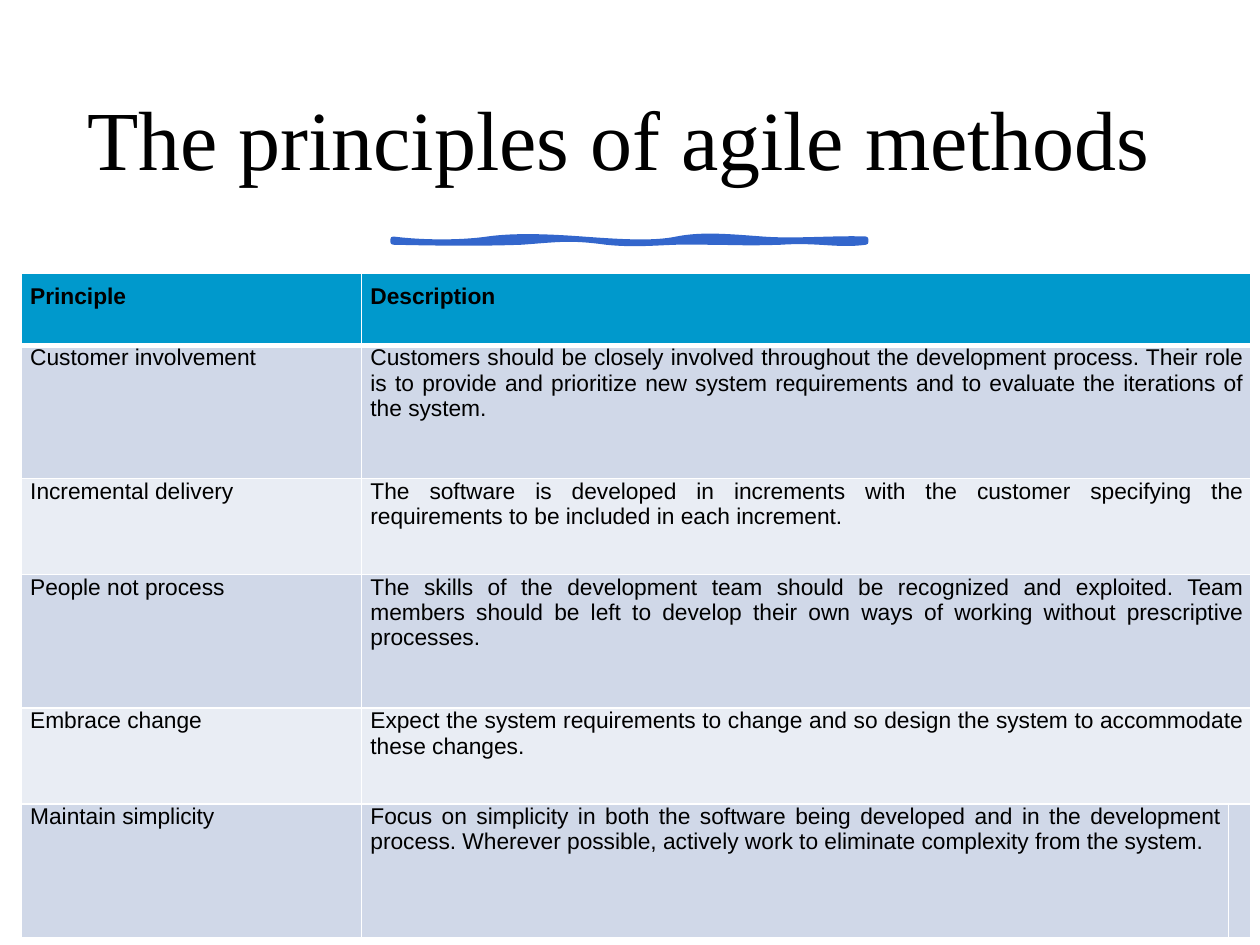
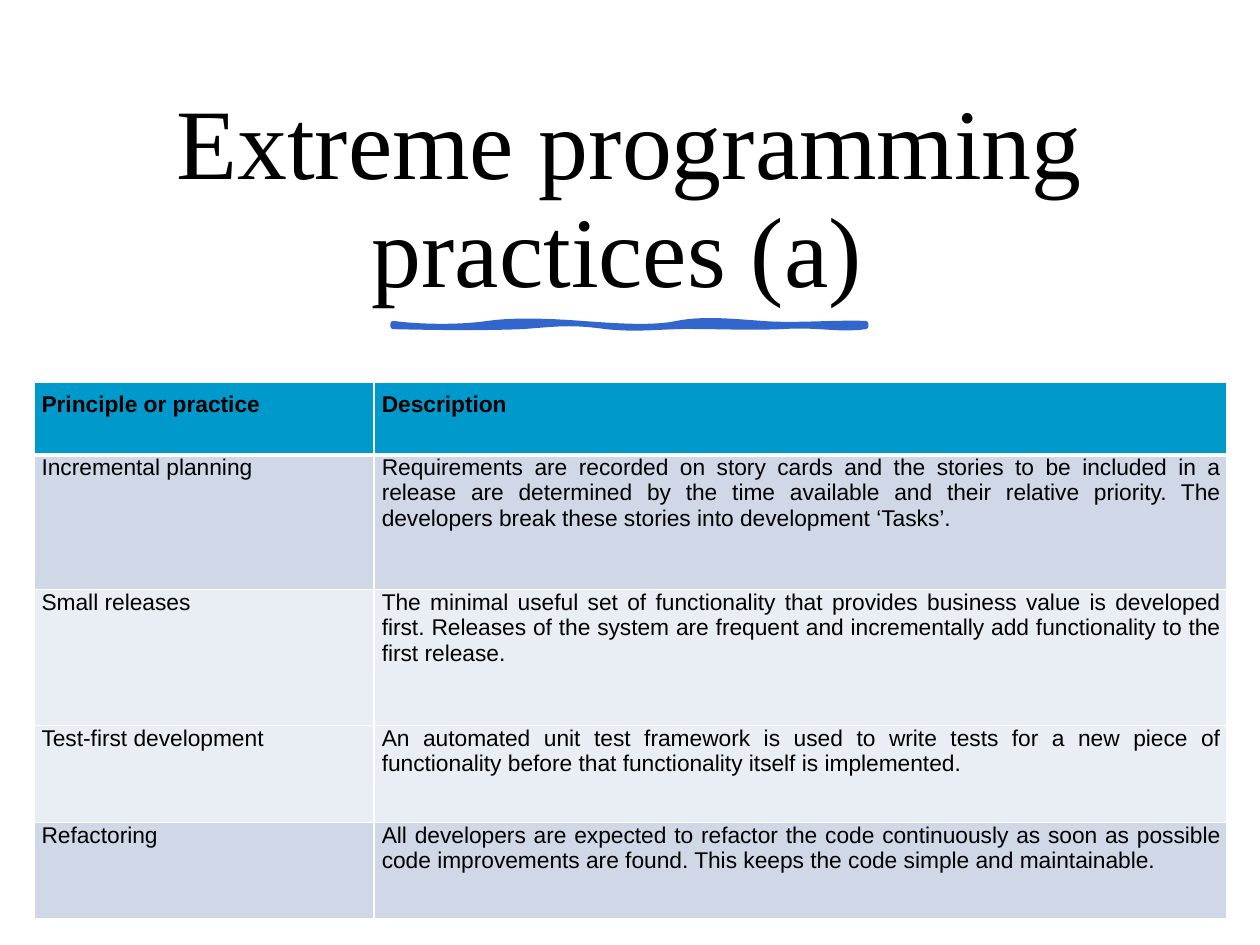
from lxml.etree import SubElement
from pptx import Presentation
from pptx.dml.color import RGBColor
from pptx.enum.shapes import MSO_SHAPE
from pptx.enum.text import MSO_ANCHOR, PP_ALIGN
from pptx.oxml.ns import qn
from pptx.util import Inches, Pt

COLORS = {
    "paper": "FFFFFF",
    "ink": "000000",
    "wave": "3366CC",
    "header": "0099CC",
    "dark": "D0D8E8",
    "light": "E9EDF4",
    "rule": "FFFFFF",
}

WAVE_START = (3.12, 0)
WAVE_CURVES = [
    ((3.36, 0.03), (3.66, 0.03), (3.87, 0)),
    ((4.08, -0.03), (4.35, -0.02), (4.62, 0)),
    ((4.9, 0.02), (5.18, 0.04), (5.37, 0)),
    ((5.57, -0.04), (5.78, -0.02), (6.05, 0)),
    ((6.31, 0.02), (6.63, -0.01), (6.87, 0)),
    ((6.87, 0), (6.87, 0.01), (6.87, 0.02)),
    ((6.65, 0.05), (6.5, 0), (6.2, 0.02)),
    ((5.9, 0.03), (5.84, 0.02), (5.56, 0.02)),
    ((5.28, 0.01), (5.1, 0.05), (4.81, 0.02)),
    ((4.52, -0.02), (4.42, 0), (4.14, 0.02)),
    ((3.86, 0.03), (3.57, 0.03), (3.12, 0.02)),
]

PRINCIPLES = [
    ("Principle", "Description"),
    ("Customer involvement ",
     "Customers should be closely involved throughout the development process. "
     "Their role is to provide and prioritize new system requirements and to "
     "evaluate the iterations of the system."),
    ("Incremental delivery",
     "The software is developed in increments with the customer specifying the "
     "requirements to be included in each increment."),
    ("People not process",
     "The skills of the development team should be recognized and exploited. Team "
     "members should be left to develop their own ways of working without "
     "prescriptive processes."),
    ("Embrace change",
     "Expect the system requirements to change and so design the system to "
     "accommodate these changes."),
    ("Maintain simplicity",
     "Focus on simplicity in both the software being developed and in the "
     "development process. Wherever possible, actively work to eliminate "
     "complexity from the system."),
]

PRACTICES = [
    ("Principle or practice", "Description"),
    ("Incremental planning",
     "Requirements are recorded on story cards and the stories to be included in a "
     "release are determined by the time available and their relative priority. "
     "The developers break these stories into development ‘Tasks’."),
    ("Small releases",
     "The minimal useful set of functionality that provides business value is "
     "developed first. Releases of the system are frequent and incrementally add "
     "functionality to the first release."),
    ("Test-first development",
     "An automated unit test framework is used to write tests for a new piece of "
     "functionality before that functionality itself is implemented."),
    ("Refactoring",
     "All developers are expected to refactor the code continuously as soon as "
     "possible code improvements are found. This keeps the code simple and "
     "maintainable."),
]


def color(name):
    return RGBColor.from_string(COLORS[name])


def write(frame, text, font, size, align, bold=False, spacing=None):
    paragraph = frame.paragraphs[0]
    paragraph.alignment = align
    if spacing:
        paragraph.line_spacing = spacing
    run = paragraph.add_run()
    run.text = text
    run.font.name = font
    run.font.size = Pt(size)
    run.font.bold = bold
    run.font.color.rgb = color("ink")


def curve_outline(shape):
    corners = list(shape._element.iter(qn("a:lnTo")))
    for first in range(0, len(corners), 3):
        curve = corners[first].makeelement(qn("a:cubicBezTo"))
        corners[first].addprevious(curve)
        for corner in corners[first:first + 3]:
            curve.append(corner[0])
            corner.getparent().remove(corner)


class Deck:
    def __init__(self):
        self.presentation = Presentation()
        self.presentation.slide_width = Inches(10)
        self.presentation.slide_height = Inches(7.5)
        self.slide = None

    def new_slide(self):
        blank = self.presentation.slide_layouts[6]
        self.slide = self.presentation.slides.add_slide(blank)
        backdrop = self.slide.shapes.add_shape(
            MSO_SHAPE.RECTANGLE, 0, 0, Inches(10), Inches(7.5))
        backdrop.shadow.inherit = False
        backdrop.fill.solid()
        backdrop.fill.fore_color.rgb = color("paper")
        backdrop.line.fill.background()

    def title(self, text, top, height, size, anchor):
        heading = self.slide.shapes.add_textbox(
            Inches(0.52), Inches(top), Inches(8.95), Inches(height))
        frame = heading.text_frame
        frame.word_wrap = True
        frame.vertical_anchor = anchor
        write(frame, text, "Times New Roman", size, PP_ALIGN.CENTER, spacing=0.9)

    def wave(self, top):
        outline = [WAVE_START] + [point for curve in WAVE_CURVES for point in curve]
        points = [(Inches(x), Inches(top + y)) for x, y in outline]
        builder = self.slide.shapes.build_freeform(*points[0])
        builder.add_line_segments(points[1:], close=True)
        underline = builder.convert_to_shape()
        curve_outline(underline)
        underline.shadow.inherit = False
        underline.fill.solid()
        underline.fill.fore_color.rgb = color("wave")
        underline.line.color.rgb = color("wave")
        underline.line.width = Pt(3.25)

    def borders(self, cell, row):
        properties = cell._tc.get_or_add_tcPr()
        widths = {"L": 1, "R": 1, "T": 3 if row == 1 else 1, "B": 3 if row == 0 else 1}
        for side, width in widths.items():
            edge = SubElement(properties, qn(f"a:ln{side}"), w=str(Pt(width)))
            fill = SubElement(edge, qn("a:solidFill"))
            SubElement(fill, qn("a:srgbClr"), val=COLORS["rule"])

    def table(self, entries, left, top, widths, heights, bands, side):
        grid = self.slide.shapes.add_table(
            len(heights), len(widths), Inches(left), Inches(top),
            Inches(sum(widths)), Inches(sum(heights))).table
        grid.first_row = grid.horz_banding = False
        for column, width in zip(grid.columns, widths):
            column.width = Inches(width)
        for index, (height, band) in enumerate(zip(heights, bands)):
            grid.rows[index].height = Inches(height)
            for cell in grid.rows[index].cells:
                self.borders(cell, index)
                cell.fill.solid()
                cell.fill.fore_color.rgb = color(band)
                cell.margin_left = cell.margin_right = Inches(side)
                cell.margin_top = Inches(0.08 if index == 0 else 0)
                cell.margin_bottom = Inches(0.08)
            for column, text in enumerate(entries[index]):
                write(grid.cell(index, column).text_frame, text, "Arial", 13,
                      PP_ALIGN.JUSTIFY, bold=index == 0)
        return grid


def main():
    deck = Deck()

    deck.new_slide()
    deck.title("The principles of agile methods ", 0.45, 1.37, 48, MSO_ANCHOR.MIDDLE)
    deck.wave(1.9)
    principles = deck.table(
        PRINCIPLES, 0.17, 2.17, [2.7, 6.88, 0.15],
        [0.57, 1.06, 0.76, 1.06, 0.76, 1.06],
        ["header", "dark", "light", "dark", "light", "dark"], 0.07)
    for row in range(len(PRINCIPLES) - 1):
        principles.cell(row, 1).merge(principles.cell(row, 2))

    deck.new_slide()
    deck.title("Extreme programming practices (a) ", 0.5, 2, 57, MSO_ANCHOR.BOTTOM)
    deck.wave(2.57)
    deck.table(
        PRACTICES, 0.27, 3.03, [2.7, 6.77], [0.58, 1.07, 1.08, 0.77, 0.76],
        ["header", "dark", "light", "light", "dark"], 0.06)

    deck.presentation.save("out.pptx")


if __name__ == "__main__":
    main()
